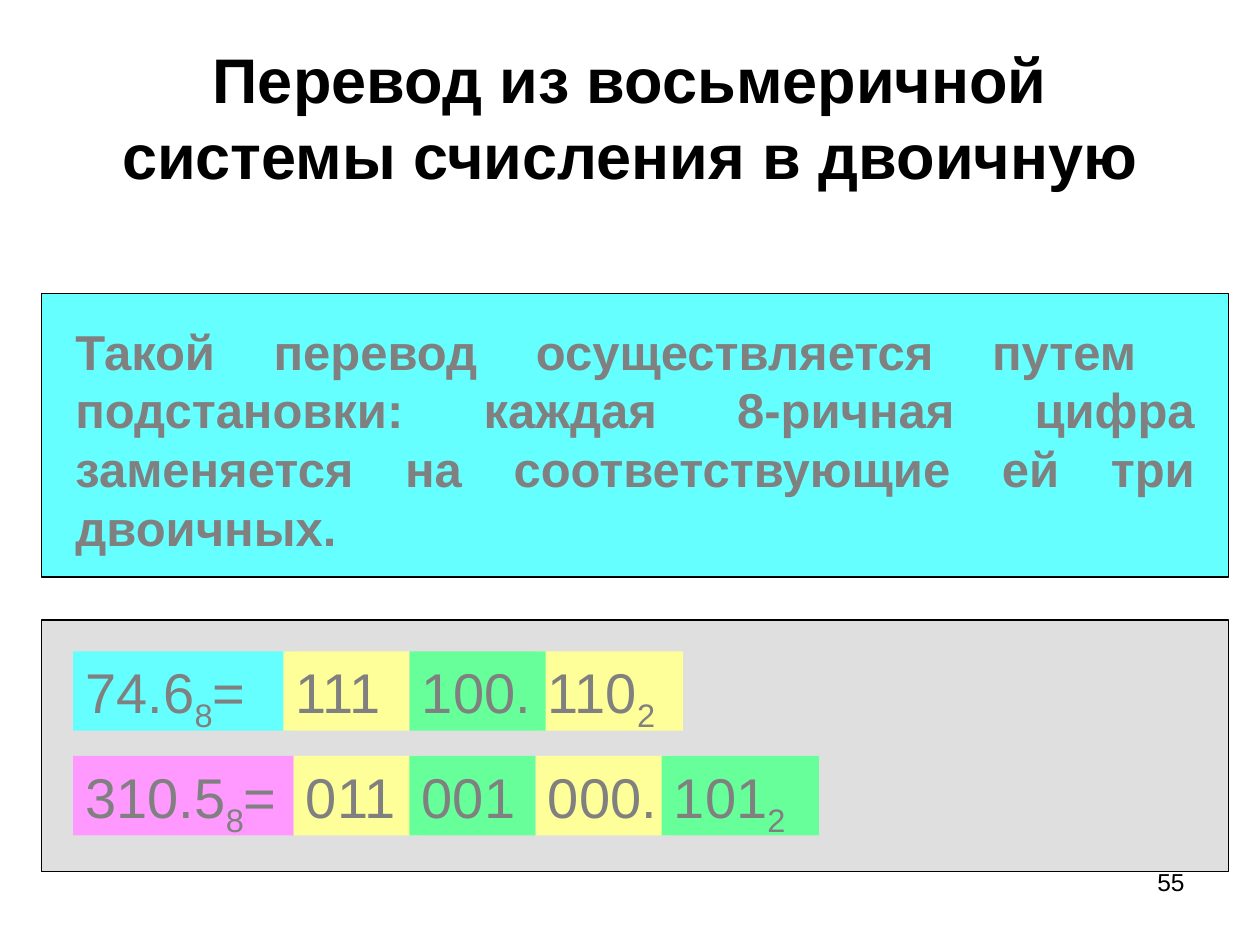
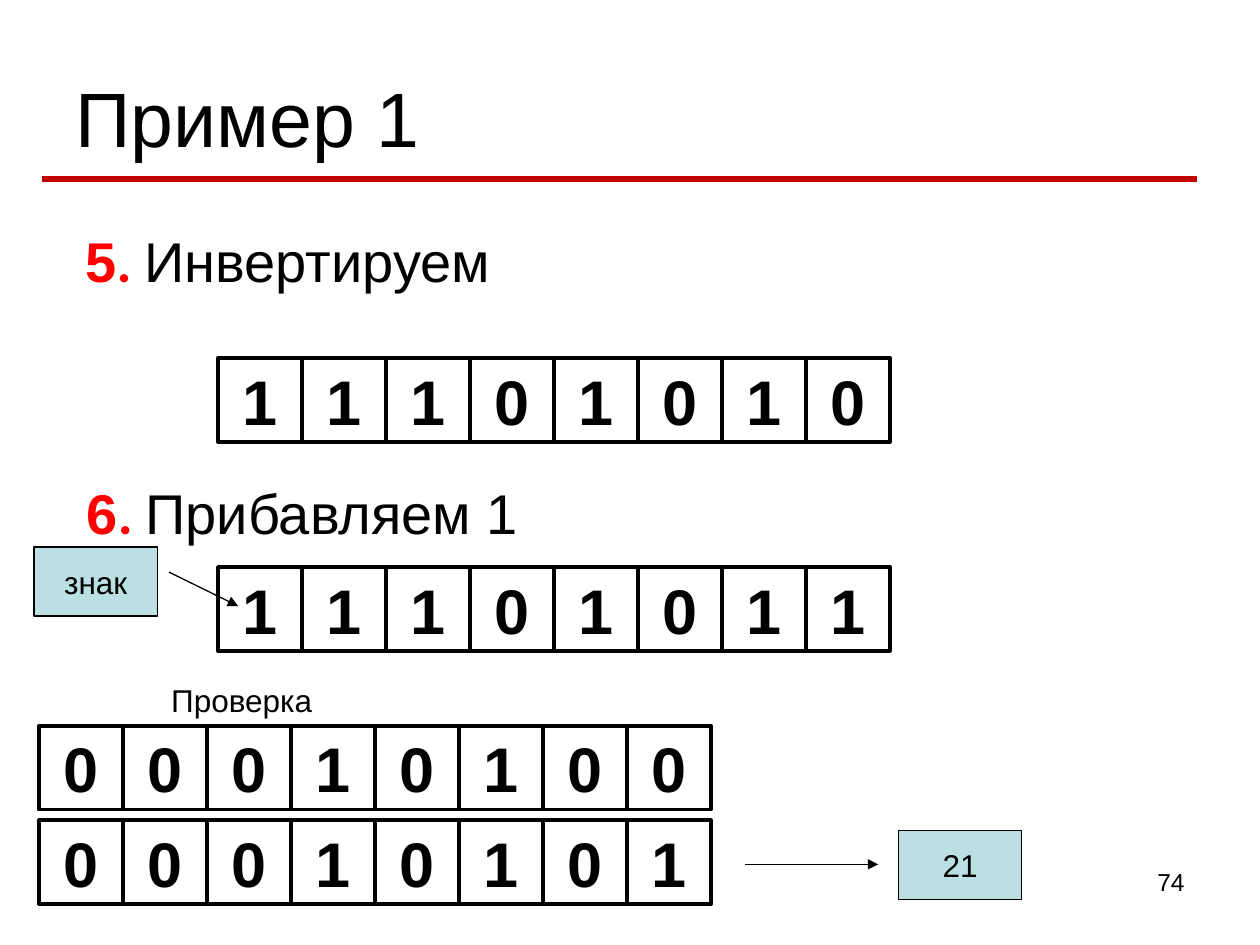
from lxml import etree
from pptx import Presentation
from pptx.dml.color import RGBColor
from pptx.enum.shapes import MSO_CONNECTOR, MSO_SHAPE
from pptx.enum.text import MSO_ANCHOR, PP_ALIGN
from pptx.oxml.ns import qn
from pptx.util import Inches, Pt

LEFT, CENTER, RIGHT, JUSTIFY = PP_ALIGN.LEFT, PP_ALIGN.CENTER, PP_ALIGN.RIGHT, PP_ALIGN.JUSTIFY
TOP, MIDDLE = MSO_ANCHOR.TOP, MSO_ANCHOR.MIDDLE
RECTANGLE, STRAIGHT = MSO_SHAPE.RECTANGLE, MSO_CONNECTOR.STRAIGHT

# Shared style
COLORS = {
    "black": "000000", "gray": "808080", "silver": "C0C0C0", "cyan": "66FFFF",
    "pink": "FF99FF", "yellow": "FFFF99", "green": "66FF99", "red": "FF0000",
    "rule": "C00000", "pale": "BBE0E3",
}
FONT, NUMBERING_FONT = "Arial", "Calibri"
TITLE_BOX = (0.5, 0.3, 9, 1.25)
PAGE_BOX = (7.17, 6.83, 2.33, 0.52)
CELL = 2 / 3

# Content: octal to binary
OCTAL_TITLE = "Перевод из восьмеричной системы счисления в двоичную"
RULE_TEXT = ("Такой перевод осуществляется путем  подстановки: каждая 8-ричная цифра "
             "заменяется на соответствующие ей три двоичных.")
PANEL_LEFT, PANEL_WIDTH = 0.33, 9.42
CONVERSION_HEIGHT = 0.63
# top, then parts in stacking order: left, width, fill, digits, subscript, ending
CONVERSIONS = [
    (5.17, [
        (0.58, 1.75, "cyan", "74.6", "8", "="),
        (2.25, 1, "yellow", "111", "", ""),
        (4.25, 1.17, "yellow", "110", "2", ""),
        (3.25, 1.08, "green", "100.", "", ""),
    ]),
    (6, [
        (0.58, 1.75, "pink", "310.5", "8", "="),
        (2.33, 1, "yellow", "011", "", ""),
        (4.25, 1.08, "yellow", "000.", "", ""),
        (3.25, 1, "green", "001", "", ""),
        (5.25, 1.25, "green", "101", "2", ""),
    ]),
]

# Content: worked example
EXAMPLE_TITLE = "Пример 1"
STEPS = [("5", "Инвертируем", (0.58, 1.75, 9.42, 0.63)),
         ("6", "Прибавляем 1", (0.59, 3.75, 8.99, 0.63))]
BIT_ROWS = [("11101010", 1.73, 2.84), ("11101011", 1.73, 4.5),
            ("00010100", 0.31, 5.76), ("00010101", 0.31, 6.51)]
CHECK_LABEL = ("Проверка", (1.26, 5.36, 1.32, 0.4))
CALLOUTS = [("знак", (0.27, 4.34, 0.98, 0.55)), ("21", (7.13, 6.59, 0.98, 0.55))]
ARROWS = [((1.34, 4.54), (1.89, 4.81)), ((5.91, 6.86), (6.97, 6.86))]


def rgb(color):
    return RGBColor.from_string(COLORS[color])


def add_run(paragraph, text, size, color="black", bold=False, font=FONT, baseline=0):
    run = paragraph.add_run()
    run.text = text
    run.font.name = font
    run.font.size = Pt(size)
    run.font.bold = bold
    run.font.color.rgb = rgb(color)
    if baseline:
        run.font._element.set("baseline", str(baseline * 1000))


def first_paragraph(shape, align=LEFT, anchor=TOP, wrap=True):
    frame = shape.text_frame
    frame.word_wrap = wrap
    frame.vertical_anchor = anchor
    frame.paragraphs[0].alignment = align
    return frame.paragraphs[0]


def add_text_box(slide, box, align=LEFT, anchor=TOP, wrap=True):
    text_box = slide.shapes.add_textbox(*map(Inches, box))
    return first_paragraph(text_box, align, anchor, wrap)


def add_rectangle(shapes, box, fill=None, line_width=None):
    shape = shapes.add_shape(RECTANGLE, *map(Inches, box))
    shape.shadow.inherit = False
    if fill:
        shape.fill.solid()
        shape.fill.fore_color.rgb = rgb(fill)
    else:
        shape.fill.background()
    if line_width:
        shape.line.color.rgb = rgb("black")
        shape.line.width = Pt(line_width)
    else:
        shape.line.fill.background()
    return shape


def add_line(slide, start, end, color, width, arrow=False):
    line = slide.shapes.add_connector(STRAIGHT, *map(Inches, start + end))
    line.line.color.rgb = rgb(color)
    line.line.width = Pt(width)
    if arrow:
        etree.SubElement(line.line._get_or_add_ln(), qn("a:tailEnd"), type="triangle")
    etree.SubElement(line._element.spPr, qn("a:effectLst"))


def add_slide(presentation, title, size, page, align=LEFT, bold=False):
    slide = presentation.slides.add_slide(presentation.slide_layouts[6])
    add_run(add_text_box(slide, TITLE_BOX, align, MIDDLE), title, size, bold=bold)
    add_run(add_text_box(slide, PAGE_BOX, RIGHT), page, 14)
    return slide


def add_bit_row(slide, bits, left, top):
    group = slide.shapes.add_group_shape()
    for index, bit in enumerate(bits):
        cell = add_rectangle(group.shapes, (left + index * CELL, top, CELL, CELL), line_width=2)
        add_run(first_paragraph(cell, CENTER, MIDDLE, False), bit, 36, bold=True)


def build_octal_slide(presentation):
    slide = add_slide(presentation, OCTAL_TITLE, 36, "55", CENTER, True)

    # Rule panel
    add_rectangle(slide.shapes, (PANEL_LEFT, 2.33, PANEL_WIDTH, 2.25), "cyan", 0.75)
    paragraph = add_text_box(slide, (0.5, 2.5, 9.08, 1.97), JUSTIFY)
    add_run(paragraph, RULE_TEXT, 28, "gray", True)

    # Half-transparent panel with the conversions
    panel = add_rectangle(slide.shapes, (PANEL_LEFT, 4.92, PANEL_WIDTH, 2), "silver", 0.75)
    color = panel._element.spPr.find(qn("a:solidFill"))[0]
    etree.SubElement(color, qn("a:alpha"), val="50000")
    for top, parts in CONVERSIONS:
        for left, width, fill, digits, subscript, ending in parts:
            part = add_rectangle(slide.shapes, (left, top, width, CONVERSION_HEIGHT), fill)
            paragraph = first_paragraph(part)
            for text, baseline in ((digits, 0), (subscript, -25), (ending, 0)):
                if text:
                    add_run(paragraph, text, 32, "gray", baseline=baseline)


def build_example_slide(presentation):
    slide = add_slide(presentation, EXAMPLE_TITLE, 44, "74")
    add_line(slide, (0.33, 1.42), (9.5, 1.42), "rule", 3.5)

    # Numbered steps
    for number, text, box in STEPS:
        paragraph = add_text_box(slide, box)
        add_run(paragraph, number, 32, "red", True)
        add_run(paragraph, ". ", 32, "red", True, NUMBERING_FONT)
        add_run(paragraph, text, 32)

    # Bit rows and their check
    for bits, left, top in BIT_ROWS:
        add_bit_row(slide, bits, left, top)
    label, box = CHECK_LABEL
    add_run(add_text_box(slide, box, wrap=False), label, 18)

    # Callouts with arrows
    for start, end in ARROWS:
        add_line(slide, start, end, "black", 0.75, arrow=True)
    for text, box in CALLOUTS:
        callout = add_rectangle(slide.shapes, box, "pale", 0.75)
        add_run(first_paragraph(callout, CENTER, MIDDLE, False), text, 18)


def main():
    presentation = Presentation()
    presentation.slide_width, presentation.slide_height = Inches(10), Inches(7.5)
    build_octal_slide(presentation)
    build_example_slide(presentation)
    presentation.save("out.pptx")


if __name__ == "__main__":
    main()
